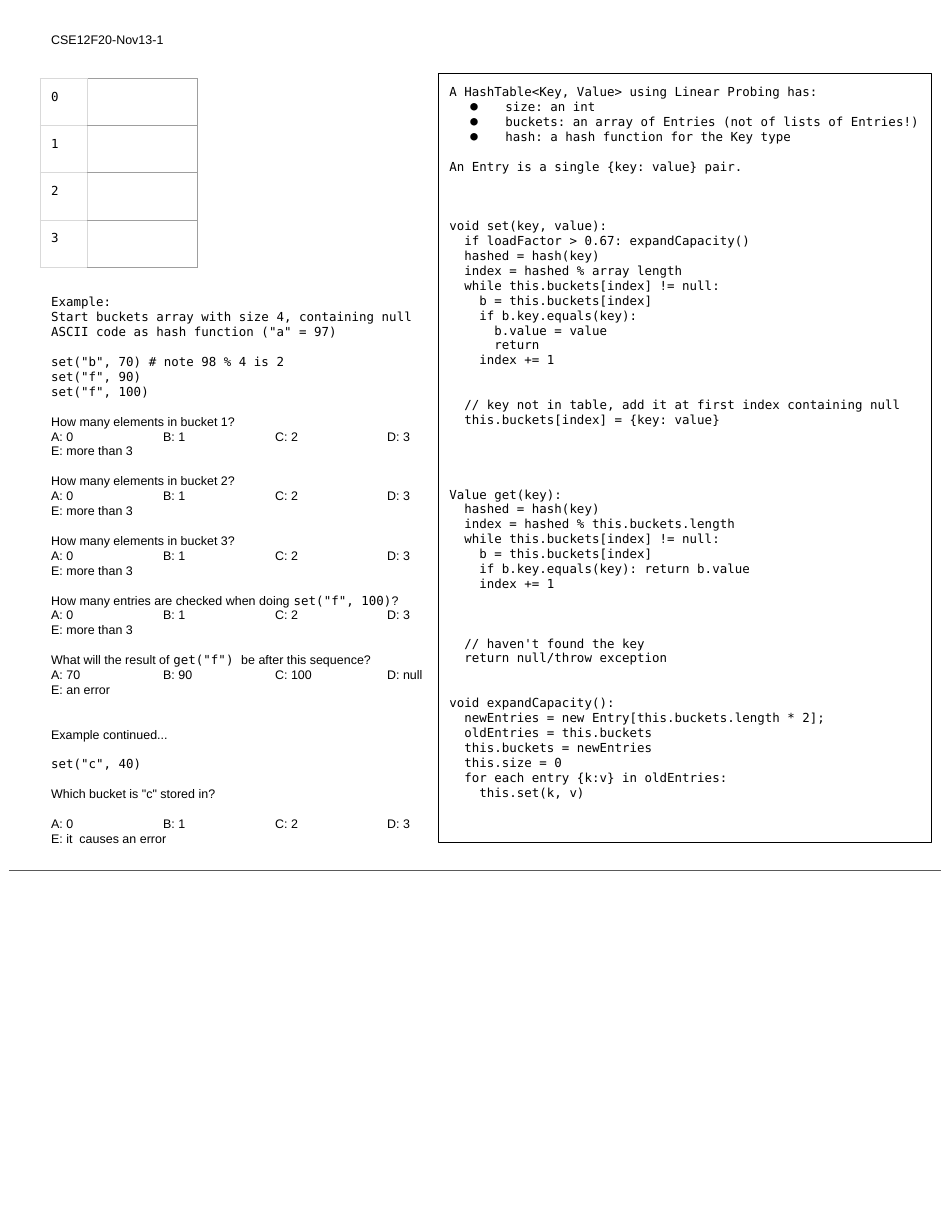
from lxml.etree import SubElement
from pptx import Presentation
from pptx.dml.color import RGBColor
from pptx.enum.shapes import MSO_CONNECTOR as Connector, MSO_SHAPE as Shape
from pptx.enum.text import MSO_ANCHOR as Anchor, PP_ALIGN as Align
from pptx.oxml.ns import qn
from pptx.util import Cm, Pt

COLORS = {"text": "000000", "label": "D9D9D9", "value": "9E9E9E", "rule": "595959"}
PROSE, CODE = "Arial", "DejaVu Sans Mono"
FONT_SIZE, LINE_PITCH, LINE_WIDTH = 8, 9.58, 0.75
INSET = Cm(0.25)

HEADING = "CSE12F20-Nov13-1"
BUCKETS = ["0", "1", "2", "3"]
COUNTS = "A: 0\tB: 1\tC: 2\tD: 3\tE: more than 3"

# Blocks are (blank lines before, style, lines); a tuple line alternates prose and code.
EXERCISE = [
    (0, "code", ["Example:",
                 "Start buckets array with size 4, containing null",
                 'ASCII code as hash function ("a" = 97)']),
    (1, "code", ['set("b", 70) # note 98 % 4 is 2',
                 'set("f", 90)',
                 'set("f", 100)']),
    *[(1, "prose", [f"How many elements in bucket {bucket}?", COUNTS])
      for bucket in (1, 2, 3)],
    (1, "prose", [("How many entries are checked when doing ", 'set("f", 100)', "?"),
                  COUNTS]),
    (1, "prose", [("What will the result of ", 'get("f") ', "be after this sequence?"),
                  "A: 70\tB: 90\tC: 100\tD: null\tE: an error"]),
    (2, "prose", ["Example continued..."]),
    (1, "code", ['set("c", 40)']),
    (1, "prose", ['Which bucket is "c" stored in?']),
    (1, "prose", ["A: 0\tB: 1\tC: 2\tD: 3\tE: it  causes an error"]),
]
HASH_TABLE = [
    (0, "code", ["A HashTable<Key, Value> using Linear Probing has:"]),
    (0, "bullet", ["size: an int",
                   "buckets: an array of Entries (not of lists of Entries!)",
                   "hash: a hash function for the Key type"]),
    (1, "code", ["An Entry is a single {key: value} pair."]),
    (3, "code", ["void set(key, value):",
                 "  if loadFactor > 0.67: expandCapacity()",
                 "  hashed = hash(key)",
                 "  index = hashed % array length",
                 "  while this.buckets[index] != null:",
                 "    b = this.buckets[index]",
                 "    if b.key.equals(key):",
                 "      b.value = value",
                 "      return",
                 "    index += 1"]),
    (2, "code", ["  // key not in table, add it at first index containing null",
                 "  this.buckets[index] = {key: value}"]),
    (4, "code", ["Value get(key):",
                 "  hashed = hash(key)",
                 "  index = hashed % this.buckets.length",
                 "  while this.buckets[index] != null:",
                 "    b = this.buckets[index]",
                 "    if b.key.equals(key): return b.value",
                 "    index += 1"]),
    (3, "code", ["  // haven't found the key",
                 "  return null/throw exception"]),
    (2, "code", ["void expandCapacity():",
                 "  newEntries = new Entry[this.buckets.length * 2];",
                 "  oldEntries = this.buckets",
                 "  this.buckets = newEntries",
                 "  this.size = 0",
                 "  for each entry {k:v} in oldEntries:",
                 "    this.set(k, v)"]),
]


def color(name):
    return RGBColor.from_string(COLORS[name])


def add_run(paragraph, text, font_name):
    run = paragraph.add_run()
    run.text = text
    run.font.name, run.font.size = font_name, Pt(FONT_SIZE)
    run.font.color.rgb = color("text")


def add_bullet(paragraph):
    properties = paragraph._p.get_or_add_pPr()
    properties.set("marL", str(Cm(1.27)))
    properties.set("indent", str(Cm(-0.79)))
    bullet_color = SubElement(properties, qn("a:buClr"))
    SubElement(bullet_color, qn("a:srgbClr"), val=COLORS["text"])
    SubElement(properties, qn("a:buFont"), typeface=CODE)
    SubElement(properties, qn("a:buChar"), char="●")


def add_answer_tabs(paragraph):
    tabs = SubElement(paragraph._p.get_or_add_pPr(), qn("a:tabLst"))
    for column in range(1, 5):
        SubElement(tabs, qn("a:tab"), pos=str(Cm(2.54 * column)), algn="l")


def set_insets(target):
    target.margin_left = target.margin_right = INSET
    target.margin_top = target.margin_bottom = INSET


def fill_text(shape, blocks):
    frame = shape.text_frame
    frame.word_wrap = True
    frame.vertical_anchor = Anchor.TOP
    set_insets(frame)
    paragraph = None
    for blank_lines, style, lines in blocks:
        for number, line in enumerate(lines):
            paragraph = frame.add_paragraph() if paragraph else frame.paragraphs[0]
            paragraph.alignment = Align.LEFT
            paragraph.line_spacing = Pt(LINE_PITCH)
            if number == 0 and blank_lines:
                paragraph.space_before = Pt(blank_lines * LINE_PITCH)
            if style == "bullet":
                add_bullet(paragraph)
            if "\t" in line:
                add_answer_tabs(paragraph)
            fonts = (PROSE, CODE) if style == "prose" else (CODE, PROSE)
            parts = line if isinstance(line, tuple) else (line,)
            for position, part in enumerate(parts):
                add_run(paragraph, part, fonts[position % 2])


def set_borders(cell, left, others):
    properties = cell._tc.get_or_add_tcPr()
    for position, side in enumerate(("lnL", "lnR", "lnT", "lnB")):
        border = SubElement(properties, qn(f"a:{side}"), w=str(Pt(LINE_WIDTH)))
        fill = SubElement(border, qn("a:solidFill"))
        SubElement(fill, qn("a:srgbClr"), val=COLORS[others if position else left])


def add_bucket_table(slide):
    widths, row_height = (1.07, 2.49), 1.07
    table = slide.shapes.add_table(
        len(BUCKETS), len(widths), Cm(0.91), Cm(1.78),
        Cm(sum(widths)), Cm(row_height * len(BUCKETS))).table
    table.first_row = table.horz_banding = False
    for column, width in zip(table.columns, widths):
        column.width = Cm(width)
    for row, bucket in zip(table.rows, BUCKETS):
        label, value = row.cells
        set_insets(label)
        add_run(label.text_frame.paragraphs[0], bucket, CODE)
        set_borders(label, "label", "label")
        set_borders(value, "label", "value")
        for cell in (label, value):
            cell.fill.background()


def add_rule(slide):
    rule = slide.shapes.add_connector(
        Connector.STRAIGHT, Cm(0.2), Cm(19.74), Cm(21.34), Cm(19.74))
    rule.line.color.rgb = color("rule")
    rule.line.width = Pt(LINE_WIDTH)
    SubElement(rule._element.spPr, qn("a:effectLst"))


def main():
    presentation = Presentation()
    presentation.slide_width, presentation.slide_height = Cm(21.59), Cm(27.94)
    slide = presentation.slides.add_slide(presentation.slide_layouts[6])

    heading = slide.shapes.add_textbox(Cm(0.91), Cm(0.56), Cm(5.18), Cm(0.84))
    fill_text(heading, [(0, "prose", [HEADING])])

    panel = slide.shapes.add_shape(
        Shape.RECTANGLE, Cm(9.94), Cm(1.66), Cm(11.18), Cm(17.45))
    panel.shadow.inherit = False
    panel.fill.background()
    panel.line.color.rgb = color("text")
    panel.line.width = Pt(LINE_WIDTH)
    fill_text(panel, HASH_TABLE)

    add_bucket_table(slide)

    exercise = slide.shapes.add_textbox(Cm(0.91), Cm(6.43), Cm(9.04), Cm(11.51))
    fill_text(exercise, EXERCISE)

    add_rule(slide)
    presentation.save("out.pptx")


if __name__ == "__main__":
    main()
